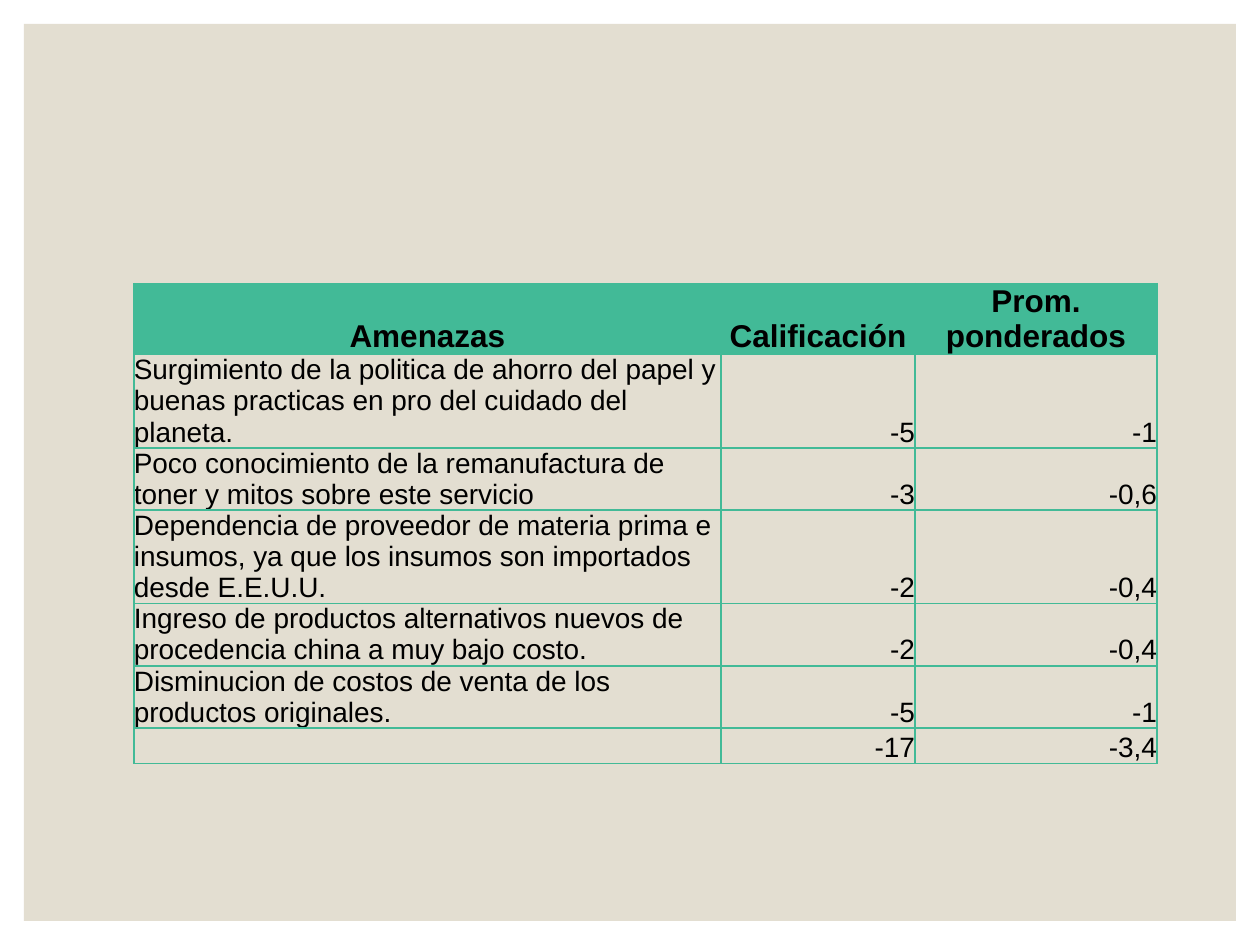
from dataclasses import dataclass

from lxml.etree import SubElement
from pptx import Presentation
from pptx.dml.color import RGBColor
from pptx.enum.shapes import MSO_SHAPE
from pptx.enum.text import MSO_ANCHOR, PP_ALIGN
from pptx.oxml.ns import qn
from pptx.util import Pt


@dataclass(frozen=True)
class Theme:
    sand: str = "E3DED1"
    green: str = "42BA97"
    ink: str = "000000"
    font: str = "Arial"
    head: int = 18
    body: int = 16


THEME = Theme()
WIDTHS = [335.5, 110.9, 138.2]
HEAD_HIGH = 40.6
LINE_HIGH = 17.8
HEADS = ["Amenazas", "Calificación", "Prom. ponderados"]
THREATS = [
    (3, "Surgimiento de la politica de ahorro del papel y buenas practicas "
        "en pro del cuidado del planeta.", "-5", "-1"),
    (2, "Poco conocimiento de la remanufactura de toner y mitos sobre este "
        "servicio", "-3", "-0,6"),
    (3, "Dependencia de proveedor de materia prima e insumos, ya que los "
        "insumos son importados desde E.E.U.U.", "-2", "-0,4"),
    (2, "Ingreso de productos alternativos nuevos de procedencia china a muy "
        "bajo costo.", "-2", "-0,4"),
    (2, "Disminucion de costos de venta de los productos originales.",
     "-5", "-1"),
    (1, "", "-17", "-3,4"),
]


def write(frame, text, size=THEME.body, bold=False, align=PP_ALIGN.LEFT):
    para = frame.paragraphs[0]
    para.alignment = align
    run = para.add_run()
    run.text = text
    run.font.name = THEME.font
    run.font.size = Pt(size)
    run.font.bold = bold
    run.font.color.rgb = RGBColor.from_string(THEME.ink)


def add_panel(slide):
    panel = slide.shapes.add_shape(
        MSO_SHAPE.RECTANGLE, Pt(13.7), Pt(13.7), Pt(692.6), Pt(512.6))
    panel.shadow.inherit = False
    panel.fill.solid()
    panel.fill.fore_color.rgb = RGBColor.from_string(THEME.sand)
    panel.line.fill.background()


def add_edges(cell):
    props = cell._tc.get_or_add_tcPr()
    for side in ("lnL", "lnR", "lnT", "lnB"):
        edge = SubElement(props, qn(f"a:{side}"), w=str(Pt(1)))
        fill = SubElement(edge, qn("a:solidFill"))
        SubElement(fill, qn("a:srgbClr"), val=THEME.green)


def fill_cell(cell, text, color=None, **style):
    cell.margin_left = cell.margin_right = Pt(0)
    cell.margin_top = cell.margin_bottom = Pt(0)
    cell.vertical_anchor = MSO_ANCHOR.BOTTOM
    add_edges(cell)
    if color:
        cell.fill.solid()
        cell.fill.fore_color.rgb = RGBColor.from_string(color)
    else:
        cell.fill.background()
    write(cell.text_frame, text, **style)


def add_grid(slide):
    highs = [HEAD_HIGH] + [row[0] * LINE_HIGH for row in THREATS]
    table = slide.shapes.add_table(
        len(highs), len(WIDTHS), Pt(76.5), Pt(162),
        Pt(sum(WIDTHS)), Pt(sum(highs))).table
    table.horz_banding = False
    for col, width in zip(table.columns, WIDTHS):
        col.width = Pt(width)
    for row, high in zip(table.rows, highs):
        row.height = Pt(high)
    for c, text in enumerate(HEADS):
        fill_cell(table.cell(0, c), text, color=THEME.green,
                  size=THEME.head, bold=True, align=PP_ALIGN.CENTER)
    for r, (_, *texts) in enumerate(THREATS, 1):
        for c, text in enumerate(texts):
            side = PP_ALIGN.RIGHT if c else PP_ALIGN.LEFT
            fill_cell(table.cell(r, c), text, align=side)


def main():
    deck = Presentation()
    deck.slide_width, deck.slide_height = Pt(720), Pt(540)
    slide = deck.slides.add_slide(deck.slide_layouts[6])
    add_panel(slide)
    add_grid(slide)
    deck.save("out.pptx")


if __name__ == "__main__":
    main()
